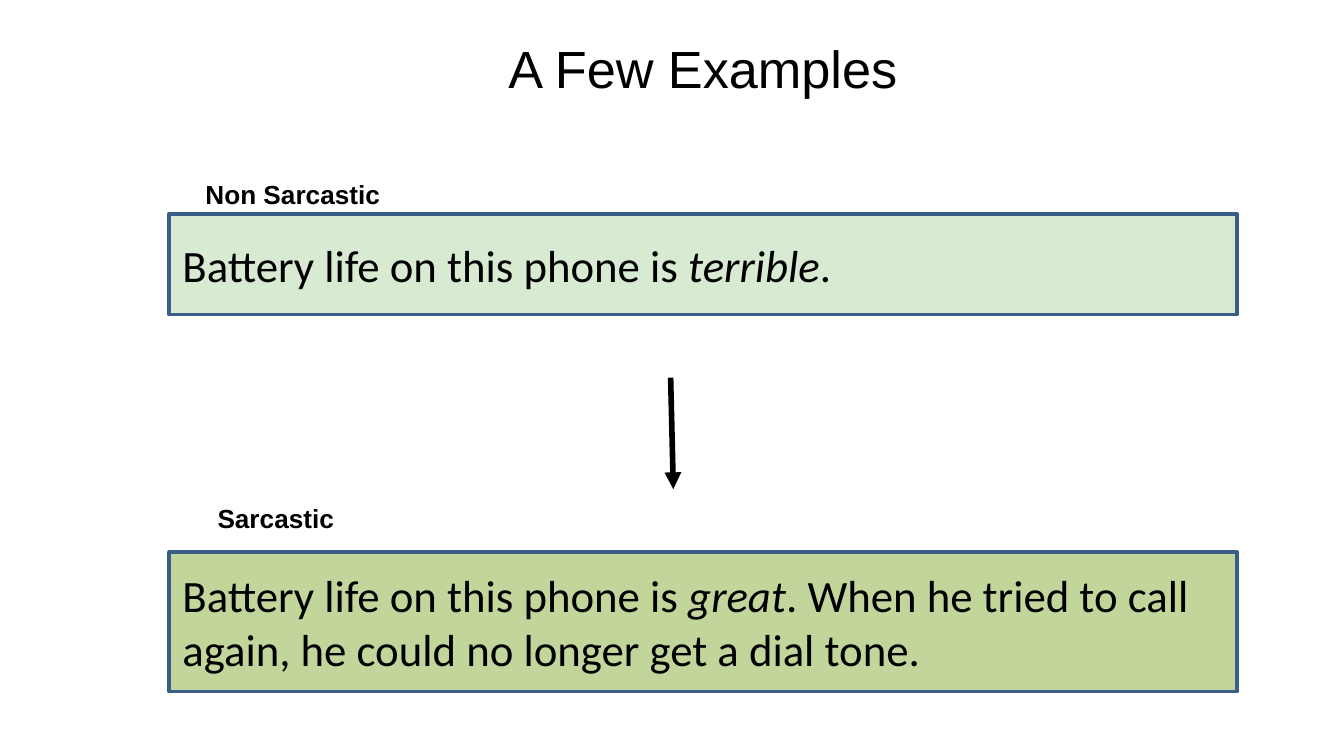
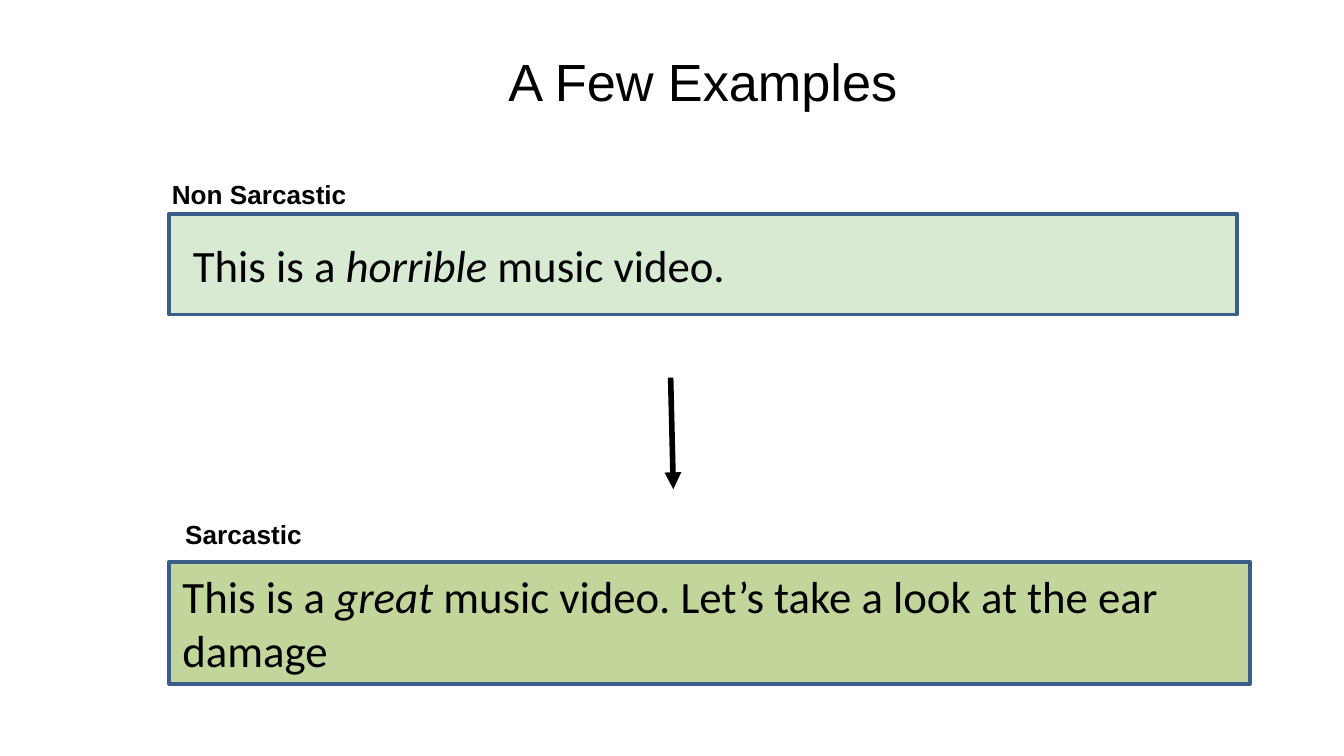
from dataclasses import dataclass

from lxml.etree import SubElement
from pptx import Presentation
from pptx.dml.color import RGBColor
from pptx.enum.shapes import MSO_CONNECTOR as Connector, MSO_SHAPE as Shape
from pptx.enum.text import MSO_ANCHOR as Anchor, PP_ALIGN as Align
from pptx.oxml.ns import qn
from pptx.util import Inches, Pt


@dataclass(frozen=True)
class Theme:
    ink: str = "000000"
    border: str = "395E89"
    plain_fill: str = "D9EAD3"
    sarcastic_fill: str = "C2D59B"
    heading_font: str = "Arial"
    body_font: str = "Calibri"
    title_size: int = 28
    body_size: int = 24
    label_size: int = 14
    border_width: int = 2
    arrow_width: int = 3


THEME = Theme()

# Grid of 100 columns by 56.25 rows, each cell a tenth of an inch
CELL = 0.1
COLUMNS, ROWS = 100, 56.25
LEFT = 12.6
SENTENCE_WIDTH = 79.45
LABEL_SIZE = (16.8, 2.9)


def grid(*cells):
    return [Inches(cell * CELL) for cell in cells]


def color(code):
    return RGBColor.from_string(code)


def style(paragraph, font_name, size, bold=False, align=Align.LEFT):
    paragraph.alignment = align
    font = paragraph.font
    font.name, font.size, font.bold = font_name, Pt(size), bold
    font.color.rgb = color(THEME.ink)


def set_frame(shape, anchor, side=1, vertical=0.5):
    frame = shape.text_frame
    frame.word_wrap = True
    frame.vertical_anchor = anchor
    frame.margin_left = frame.margin_right = grid(side)[0]
    frame.margin_top = frame.margin_bottom = grid(vertical)[0]
    return frame


def add_title(slide, text, top, height):
    box = slide.shapes.add_textbox(*grid(5, top, 94.6, height))
    paragraph = set_frame(box, Anchor.MIDDLE).paragraphs[0]
    paragraph.text = text
    style(paragraph, THEME.heading_font, THEME.title_size, align=Align.CENTER)


def add_label(slide, text, left, top):
    box = slide.shapes.add_textbox(*grid(left, top, *LABEL_SIZE))
    paragraph = set_frame(box, Anchor.TOP, vertical=1).paragraphs[0]
    paragraph.text = text
    style(paragraph, THEME.heading_font, THEME.label_size, bold=True)


def add_sentence(slide, parts, fill, top, height, width=SENTENCE_WIDTH, indent=0):
    """Draw a bordered box; the middle one of the three parts is italic."""
    box = slide.shapes.add_shape(Shape.RECTANGLE, *grid(LEFT, top, width, height))
    box.shadow.inherit = False
    box.fill.solid()
    box.fill.fore_color.rgb = color(fill)
    box.line.color.rgb = color(THEME.border)
    box.line.width = Pt(THEME.border_width)

    frame = set_frame(box, Anchor.MIDDLE)
    frame.margin_left += grid(indent)[0]
    paragraph = frame.paragraphs[0]
    style(paragraph, THEME.body_font, THEME.body_size)
    for index, part in enumerate(parts):
        run = paragraph.add_run()
        run.text = part
        run.font.italic = index == 1


def add_arrow(slide):
    arrow = slide.shapes.add_connector(
        Connector.STRAIGHT, *grid(49.9, 28.1, 50.1, 36.4))
    arrow.line.color.rgb = color(THEME.ink)
    arrow.line.width = Pt(THEME.arrow_width)
    properties = arrow.element.spPr
    SubElement(properties.find(qn("a:ln")), qn("a:tailEnd"), type="triangle")
    SubElement(properties, qn("a:effectLst"))


def add_example(presentation, title, plain, sarcastic, plain_label, sarcastic_label):
    slide = presentation.slides.add_slide(presentation.slide_layouts[6])
    add_title(slide, "A Few Examples", **title)
    # Literal sentence
    add_label(slide, "Non Sarcastic", *plain_label)
    add_sentence(slide, fill=THEME.plain_fill, top=15.9, height=7.5, **plain)
    add_arrow(slide)
    # Sarcastic counterpart
    add_label(slide, "Sarcastic", *sarcastic_label)
    add_sentence(slide, fill=THEME.sarcastic_fill, **sarcastic)


def main():
    presentation = Presentation()
    presentation.slide_width, presentation.slide_height = grid(COLUMNS, ROWS)

    # Phone example
    phone = "Battery life on this phone is "
    add_example(
        presentation,
        title=dict(top=0.6, height=8.8),
        plain=dict(parts=(phone, "terrible", ".")),
        sarcastic=dict(
            parts=(phone, "great", ". When he tried to call again, "
                   "he could no longer get a dial tone."),
            top=41.1, height=10.35),
        plain_label=(14.3, 12.3),
        sarcastic_label=(15.2, 36.4),
    )

    # Music video example
    video = "This is a "
    add_example(
        presentation,
        title=dict(top=2.6, height=6.8),
        plain=dict(parts=(video, "horrible", " music video."), indent=0.75),
        sarcastic=dict(
            parts=(video, "great",
                   " music video. Let’s take a look at the ear damage"),
            top=41.8, height=9.1, width=80.4),
        plain_label=(11.8, 12.3),
        sarcastic_label=(12.8, 37.6),
    )

    presentation.save("out.pptx")


if __name__ == "__main__":
    main()
